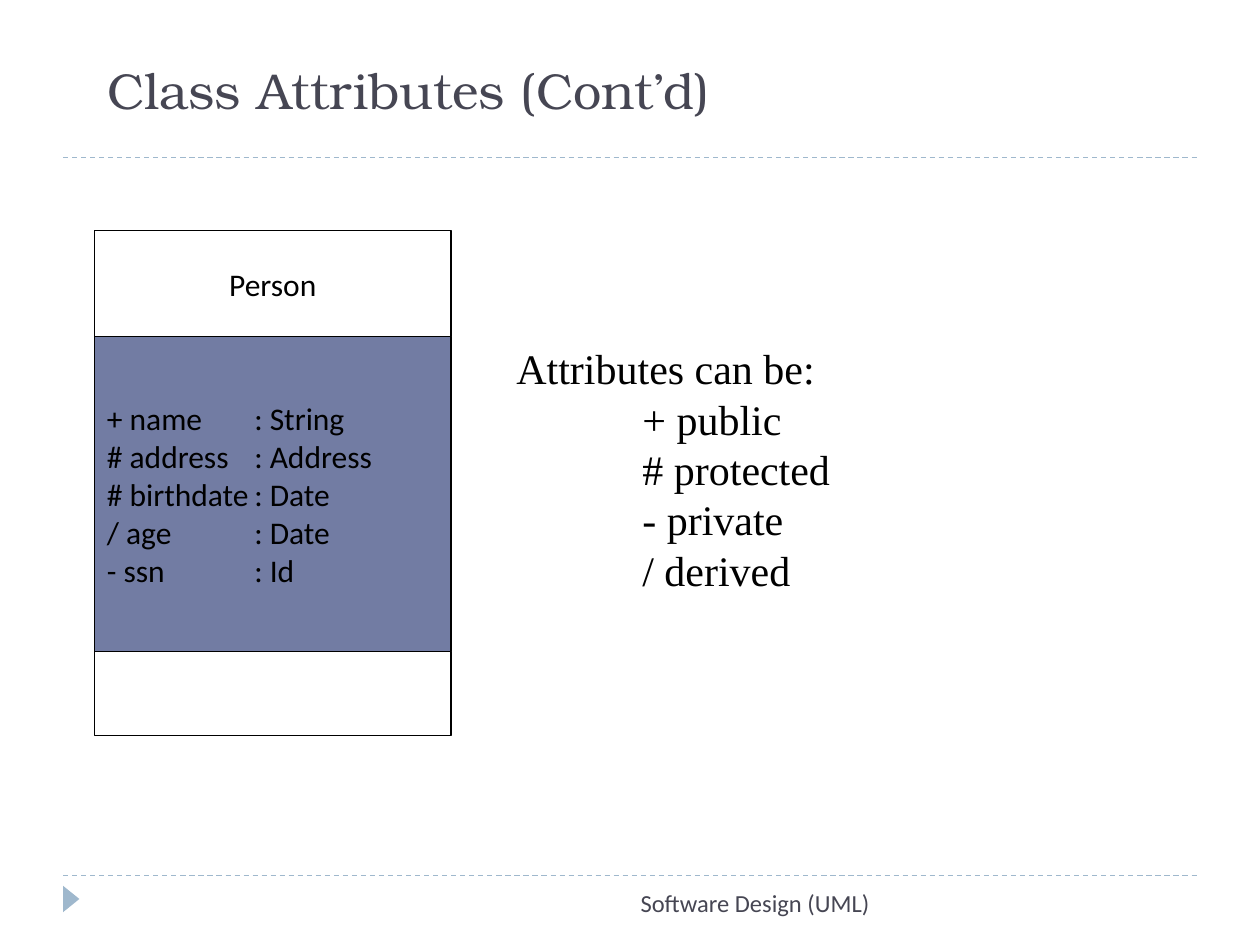
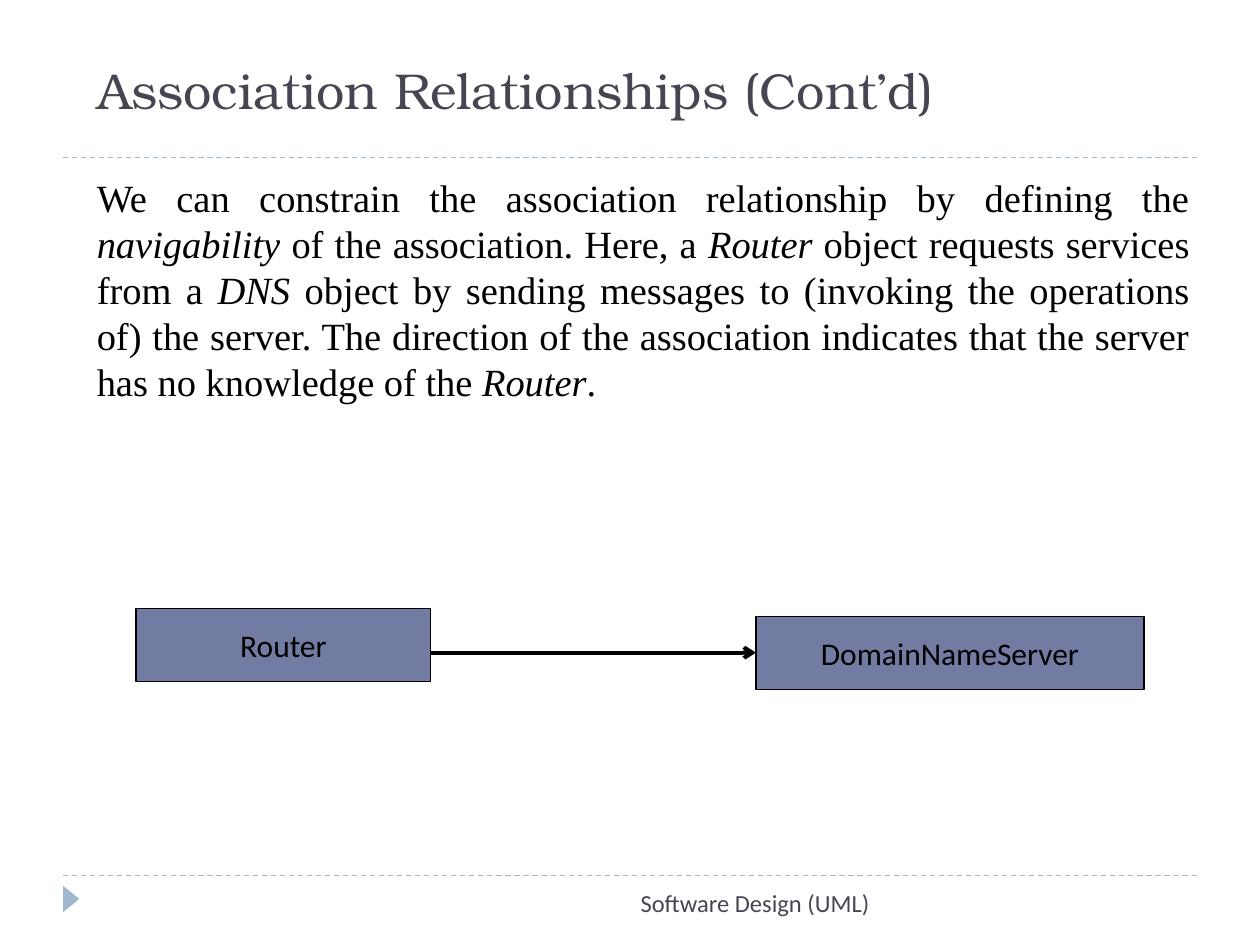
from pptx import Presentation
from pptx.dml.color import RGBColor
from pptx.enum import dml, shapes, text
from pptx.oxml.xmlchemy import OxmlElement
from pptx.util import Inches, Pt

INK, ACCENT, BLOCK = "464653", "9FB8CD", "727CA3"
BLACK, WHITE = "000000", "FFFFFF"
TITLE_FONT, LABEL_FONT, BODY_FONT = "TeX Gyre Bonum", "Calibri", "Times New Roman"
LEFT, CENTER, RIGHT, JUSTIFY = (text.PP_ALIGN.LEFT, text.PP_ALIGN.CENTER,
                                text.PP_ALIGN.RIGHT, text.PP_ALIGN.JUSTIFY)


def color(value):
    return RGBColor.from_string(value)


def write(frame, paragraphs, font, size, hue=BLACK, align=LEFT, tab_stop=None):
    """Fill a frame; each paragraph is a list of (text, italic) runs."""
    frame.word_wrap = True
    for index, runs in enumerate(paragraphs):
        paragraph = frame.add_paragraph() if index else frame.paragraphs[0]
        paragraph.alignment = align
        if tab_stop:
            add_tab_stop(paragraph, tab_stop)
        for content, italic in runs:
            run = paragraph.add_run()
            run.text = content
            run.font.name = font
            run.font.size = Pt(size)
            run.font.italic = italic
            run.font.color.rgb = color(hue)


def plain(*lines):
    return [[(line, False)] for line in lines]


def add_tab_stop(paragraph, position):
    tabs = OxmlElement("a:tabLst")
    tab = OxmlElement("a:tab")
    tab.set("pos", str(Inches(position)))
    tab.set("algn", "l")
    tabs.append(tab)
    paragraph._p.get_or_add_pPr().append(tabs)


def add_text(slide, box, paragraphs, font, size, **style):
    textbox = slide.shapes.add_textbox(*map(Inches, box))
    write(textbox.text_frame, paragraphs, font, size, **style)


def add_box(slide, box, fill, lines=(), **style):
    shape = slide.shapes.add_shape(shapes.MSO_SHAPE.RECTANGLE, *map(Inches, box))
    shape.shadow.inherit = False
    shape.fill.solid()
    shape.fill.fore_color.rgb = color(fill)
    shape.line.color.rgb = color(BLACK)
    shape.line.width = Pt(0.75)
    shape.text_frame.vertical_anchor = text.MSO_ANCHOR.MIDDLE
    write(shape.text_frame, plain(*lines), LABEL_FONT, 18, **style)
    return shape


def add_line(slide, start, end, hue, width):
    line = slide.shapes.add_connector(shapes.MSO_CONNECTOR.STRAIGHT,
                                      *map(Inches, start + end))
    line.line.color.rgb = color(hue)
    line.line.width = Pt(width)
    line._element.spPr.append(OxmlElement("a:effectLst"))
    return line


def add_arrow(slide, start, target):
    """Draw a level arrow from start to the left side of target."""
    end = (target.left.inches, start[1])
    arrow = add_line(slide, start, end, BLACK, 2.25)
    arrow.end_connect(target, 1)
    head = OxmlElement("a:tailEnd")
    head.set("type", "arrow")
    arrow.line._get_or_add_ln().append(head)


def add_slide(presentation, title, left, width):
    """Add a slide with its title, dashed rules, marker and footer."""
    slide = presentation.slides.add_slide(presentation.slide_layouts[5])
    for y in (6.95, 1.25):
        rule = add_line(slide, (0.5, y), (9.5, y), ACCENT, 0.75)
        rule.line.dash_style = dml.MSO_LINE.DASH

    marker = slide.shapes.add_shape(shapes.MSO_SHAPE.ISOSCELES_TRIANGLE,
                                    *map(Inches, (0.46, 7.07, 0.21, 0.13)))
    marker.rotation = 90
    marker.shadow.inherit = False
    marker.fill.solid()
    marker.fill.fore_color.rgb = color(ACCENT)
    marker.line.fill.background()

    heading = slide.shapes.title
    heading.left, heading.top, heading.width, heading.height = map(
        Inches, (left, 0.42, width, 0.58))
    frame = heading.text_frame
    frame.auto_size = text.MSO_AUTO_SIZE.NONE
    frame.vertical_anchor = text.MSO_ANCHOR.BOTTOM
    write(frame, plain(title), TITLE_FONT, 28.8, hue=INK)

    add_text(slide, (2.58, 7, 4.42, 0.5), plain("Software Design (UML)"),
             LABEL_FONT, 14, hue=INK, align=RIGHT)
    return slide


def build_attributes(presentation):
    slide = add_slide(presentation, "Class Attributes (Cont’d)", 0.75, 8.58)
    attributes = ["+ name\t: String", "# address\t: Address", "# birthdate\t: Date",
                  "/ age\t: Date", "- ssn\t: Id"]
    left, width = 0.75, 2.83
    add_box(slide, (left, 1.83, width, 0.84), WHITE, ["Person"], align=CENTER)
    add_box(slide, (left, 2.67, width, 2.5), BLOCK, attributes, tab_stop=1.17)
    add_box(slide, (left, 5.17, width, 0.67), WHITE)
    add_text(slide, (4, 2.67, 2.9, 2.12),
             plain("Attributes can be:", "\t+ public", "\t# protected",
                   "\t- private", "\t/ derived"),
             BODY_FONT, 24, tab_stop=1)


def build_association(presentation):
    slide = add_slide(presentation, "Association Relationships (Cont’d)", 0.67, 8.83)
    explanation = [
        ("We can constrain the association relationship by defining the ", False),
        ("navigability ", True),
        ("of the association. Here, a ", False),
        ("Router", True),
        (" object requests services from a ", False),
        ("DNS", True),
        (" object by sending messages to (invoking the operations of) the server. "
         "The direction of the association indicates that the server has no "
         "knowledge of the ", False),
        ("Router", True),
        (".", False),
    ]
    add_text(slide, (0.67, 1.33, 8.87, 1.95), [explanation], BODY_FONT, 22,
             align=JUSTIFY)
    add_box(slide, (1.08, 4.83, 2.34, 0.58), BLOCK, ["Router"], align=CENTER)
    server = add_box(slide, (6, 4.89, 3.08, 0.58), BLOCK, ["DomainNameServer"],
                     align=CENTER)
    add_arrow(slide, (3.42, 5.18), server)


def main():
    presentation = Presentation()
    presentation.slide_width = Inches(10)
    presentation.slide_height = Inches(7.5)
    build_attributes(presentation)
    build_association(presentation)
    presentation.save("out.pptx")


if __name__ == "__main__":
    main()
